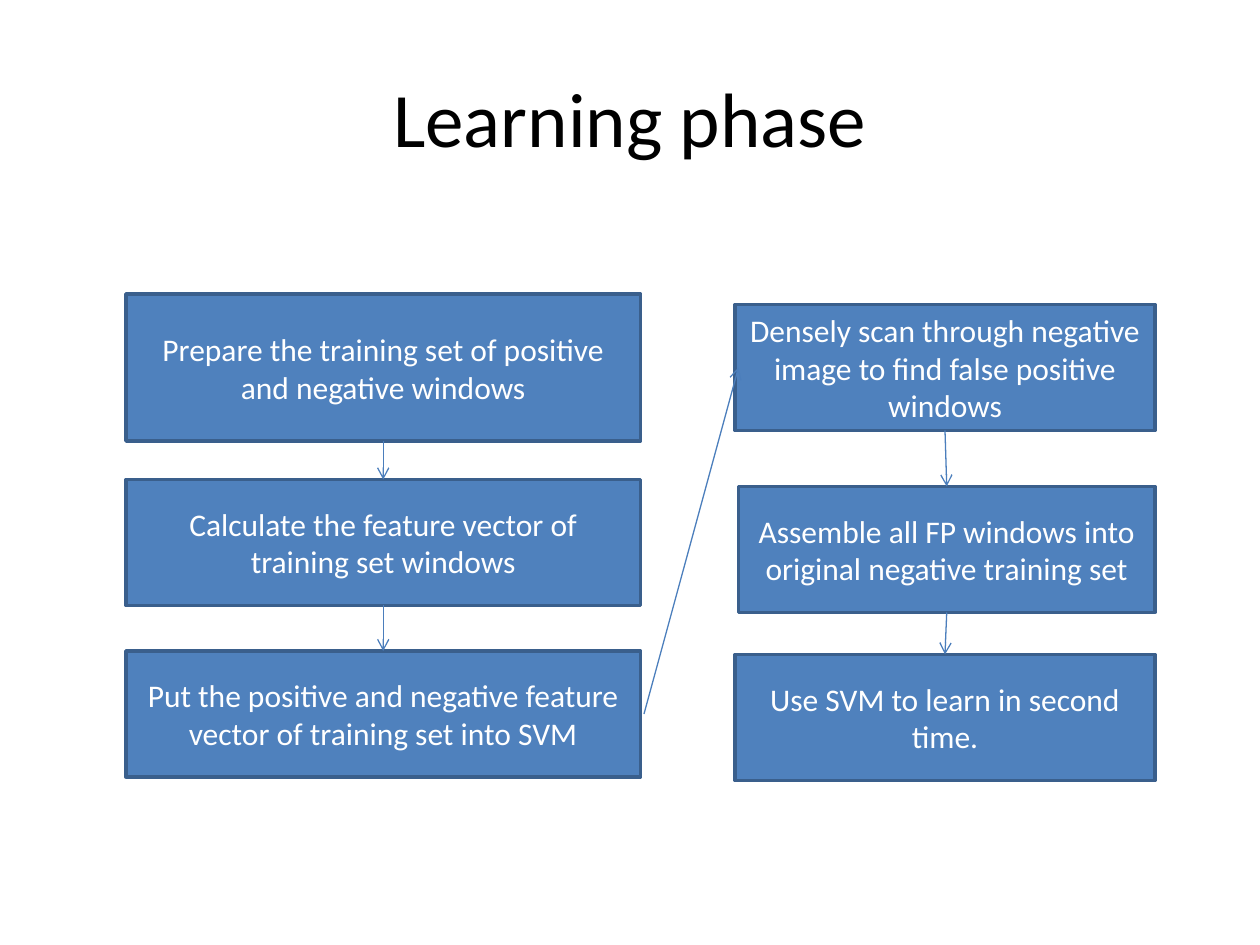
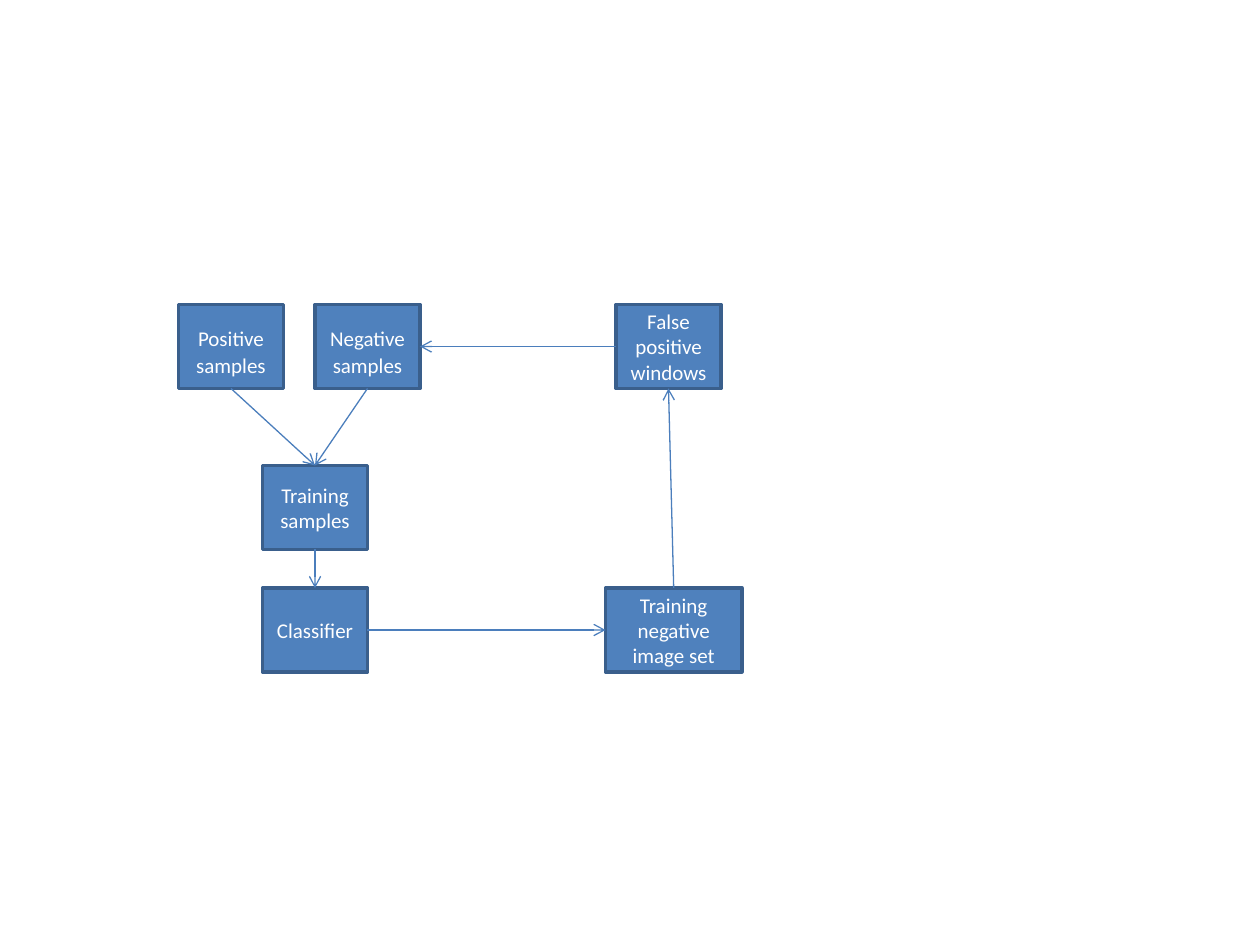
"""Build two slides that show how a detector is trained."""
from lxml import etree
from pptx import Presentation
from pptx.dml.color import RGBColor
from pptx.enum import shapes, text
from pptx.oxml import ns
from pptx.util import Pt

FONT = "Calibri"
BLUE = RGBColor(0x4F, 0x81, 0xBD)
EDGE = RGBColor(0x3A, 0x5F, 0x8C)
ARROW = RGBColor(0x4B, 0x7E, 0xBC)
WHITE = RGBColor(0xFF, 0xFF, 0xFF)
BLACK = RGBColor(0, 0, 0)
TOP, LEFT, BOTTOM, RIGHT = range(4)

HEADING = "Learning phase"
STEP_SIZE = 18
FIRST_ROUND = [
    ("Prepare the training set of positive and negative windows", (72, 168, 294, 84)),
    ("Calculate the feature vector of training set windows", (72, 274, 294, 72)),
    ("Put the positive and negative feature vector of training set into SVM",
     (72, 372, 294, 72)),
]
SECOND_ROUND = [
    ("Densely scan through negative image to find false positive windows",
     (420, 174, 240, 72)),
    ("Assemble all FP windows into original negative training set",
     (422, 278, 238, 72)),
    ("Use SVM to learn in second time.", (420, 374, 240, 72)),
]
ROUND_LINK = (368, 408, 422, 210)

STAGE_SIZE = 12
STAGES = {
    "positive": (["Positive", " ", "samples"], (102, 174, 60, 48)),
    "negative": (["Negative", " ", "samples"], (180, 174, 60, 48)),
    "training": (["Training samples"], (150, 266, 60, 48)),
    "classifier": (["Classifier"], (150, 336, 60, 48)),
    "images": (["Training negative image set"], (346, 336, 78, 48)),
    "false": (["False positive windows"], (352, 174, 60, 48)),
}
FLOWS = [
    ("false", LEFT, "negative", RIGHT),
    ("positive", BOTTOM, "training", TOP),
    ("negative", BOTTOM, "training", TOP),
    ("training", BOTTOM, "classifier", TOP),
    ("classifier", RIGHT, "images", LEFT),
    ("images", TOP, "false", BOTTOM),
]


def style_run(run, size, color):
    run.font.name = FONT
    run.font.size = Pt(size)
    run.font.color.rgb = color


def add_box(canvas, pieces, place, size):
    box = canvas.add_shape(shapes.MSO_SHAPE.RECTANGLE, *map(Pt, place))
    box.shadow.inherit = False
    box.fill.solid()
    box.fill.fore_color.rgb = BLUE
    box.line.color.rgb = EDGE
    box.line.width = Pt(2)
    box.text_frame.word_wrap = True
    box.text_frame.vertical_anchor = text.MSO_ANCHOR.MIDDLE
    label = box.text_frame.paragraphs[0]
    label.alignment = text.PP_ALIGN.CENTER
    for piece in pieces:
        run = label.add_run()
        run.text = piece
        style_run(run, STEP_SIZE if piece == " " else size, WHITE)
    return box


def add_arrow(canvas, ends=(0, 0, 0, 0)):
    arrow = canvas.add_connector(shapes.MSO_CONNECTOR.STRAIGHT, *map(Pt, ends))
    arrow.line.color.rgb = ARROW
    arrow.line.width = Pt(0.75)
    properties = arrow.element.spPr
    etree.SubElement(properties.find(ns.qn("a:ln")), ns.qn("a:tailEnd"), type="arrow")
    etree.SubElement(properties, ns.qn("a:effectLst"))
    return arrow


def link(canvas, source, source_side, target, target_side):
    arrow = add_arrow(canvas)
    arrow.begin_connect(source, source_side)
    arrow.end_connect(target, target_side)


def build_phase(deck):
    slide = deck.slides.add_slide(deck.slide_layouts[5])
    title = slide.shapes.title
    title.left, title.top, title.width, title.height = map(Pt, (36, 21.6, 648, 90))
    title.text_frame.text = HEADING
    title.text_frame.vertical_anchor = text.MSO_ANCHOR.MIDDLE
    heading = title.text_frame.paragraphs[0]
    heading.alignment = text.PP_ALIGN.CENTER
    style_run(heading.runs[0], 44, BLACK)

    rounds = [[add_box(slide.shapes, [step], place, STEP_SIZE) for step, place in steps]
              for steps in (FIRST_ROUND, SECOND_ROUND)]
    for steps in rounds:
        for upper, lower in zip(steps, steps[1:]):
            link(slide.shapes, upper, BOTTOM, lower, TOP)
    add_arrow(slide.shapes, ROUND_LINK)


def build_loop(deck):
    slide = deck.slides.add_slide(deck.slide_layouts[6])
    loop = slide.shapes.add_group_shape().shapes
    stages = {key: add_box(loop, pieces, place, STAGE_SIZE)
              for key, (pieces, place) in STAGES.items()}
    for source, source_side, target, target_side in FLOWS:
        link(loop, stages[source], source_side, stages[target], target_side)


def main():
    deck = Presentation()
    deck.slide_width, deck.slide_height = Pt(720), Pt(540)
    build_phase(deck)
    build_loop(deck)
    deck.save("out.pptx")


if __name__ == "__main__":
    main()
